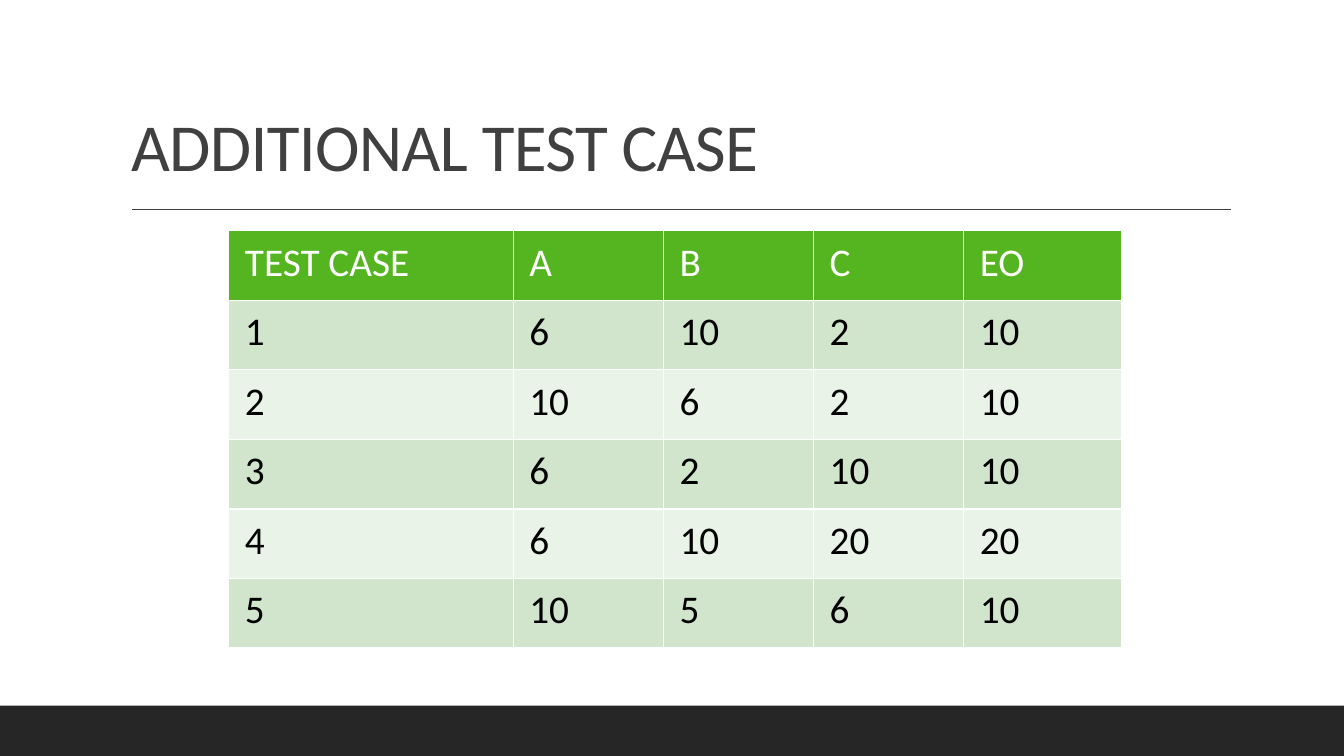
import pptx
import pptx.dml.color
import pptx.enum.shapes
import pptx.enum.text
import pptx.oxml
import pptx.util

Inches = pptx.util.Inches
Pt = pptx.util.Pt

HEADER = ["TEST CASE", "A", "B", "C", "EO"]
TEST_CASES = [
    [1, 6, 10, 2, 10],
    [2, 10, 6, 2, 10],
    [3, 6, 2, 10, 10],
    [4, 6, 10, 20, 20],
    [5, 10, 5, 6, 10],
]
COLUMN_WIDTHS = [2.82, 1.49, 1.49, 1.49, 1.57]
ROW_HEIGHT = 0.69


def color(value):
    return pptx.dml.color.RGBColor.from_string(value)


def write_text(text_frame, text, size, fill, font="Calibri", line_spacing=1.0, tracking=None):
    paragraph = text_frame.paragraphs[0]
    paragraph.line_spacing = line_spacing
    paragraph.alignment = pptx.enum.text.PP_ALIGN.LEFT
    run = paragraph.add_run()
    run.text = text
    run.font.name = font
    run.font.size = Pt(size)
    run.font.bold = False
    run.font.color.rgb = color(fill)
    if tracking is not None:
        run.font._element.set("spc", str(round(tracking * 100)))


class TestCaseSlide:
    dark = "262626"
    gray = "404040"
    header_fill = "54B520"
    band_fills = ["D1E5CD", "E9F3E8"]

    def __init__(self, presentation):
        self.slide = presentation.slides.add_slide(presentation.slide_layouts[5])

    def bar(self, left, top, width, height):
        shape = self.slide.shapes.add_shape(
            pptx.enum.shapes.MSO_SHAPE.RECTANGLE,
            Inches(left), Inches(top), Inches(width), Inches(height))
        shape.shadow.inherit = False
        shape.fill.solid()
        shape.fill.fore_color.rgb = color(self.dark)
        shape.line.fill.background()

    def rule(self, left, right, top):
        connector = self.slide.shapes.add_connector(
            pptx.enum.shapes.MSO_CONNECTOR.STRAIGHT,
            Inches(left), Inches(top), Inches(right), Inches(top))
        connector.line.color.rgb = color(self.gray)
        connector.line.width = Pt(1)
        properties = connector._element.spPr
        properties.append(pptx.oxml.parse_xml(
            '<a:effectLst xmlns:a="http://schemas.openxmlformats.org/drawingml/2006/main"/>'))

    def title(self, text, left, top, width, height):
        title = self.slide.shapes.title
        title.left, title.top = Inches(left), Inches(top)
        title.width, title.height = Inches(width), Inches(height)
        text_frame = title.text_frame
        text_frame.word_wrap = True
        text_frame.auto_size = pptx.enum.text.MSO_AUTO_SIZE.NONE
        text_frame.vertical_anchor = pptx.enum.text.MSO_ANCHOR.BOTTOM
        write_text(text_frame, text, 48, self.gray, line_spacing=0.9, tracking=-0.5)

    def table(self, rows, left, top):
        table = self.slide.shapes.add_table(
            len(rows), len(COLUMN_WIDTHS), Inches(left), Inches(top),
            Inches(sum(COLUMN_WIDTHS)), Inches(ROW_HEIGHT * len(rows))).table
        for column, width in zip(table.columns, COLUMN_WIDTHS):
            column.width = Inches(width)
        for row_index, values in enumerate(rows):
            table.rows[row_index].height = Inches(ROW_HEIGHT)
            is_header = row_index == 0
            fill = self.header_fill if is_header else self.band_fills[(row_index - 1) % 2]
            for column_index, value in enumerate(values):
                cell = table.cell(row_index, column_index)
                cell.margin_left = cell.margin_right = Inches(0.16)
                cell.margin_top = cell.margin_bottom = Inches(0.08)
                cell.fill.solid()
                cell.fill.fore_color.rgb = color(fill)
                write_text(cell.text_frame, str(value), 28, "FFFFFF" if is_header else "000000")


def main():
    presentation = pptx.Presentation()
    presentation.slide_width = Inches(13.33)
    presentation.slide_height = Inches(7.5)
    page = TestCaseSlide(presentation)
    page.bar(0, 7, 13.33, 0.5)
    page.rule(1.31, 12.21, 2.08)
    page.title("ADDITIONAL TEST CASE", 1.2, 0.31, 11, 1.59)
    page.table([HEADER] + TEST_CASES, 2.27, 2.29)
    presentation.save("out.pptx")


if __name__ == "__main__":
    main()
